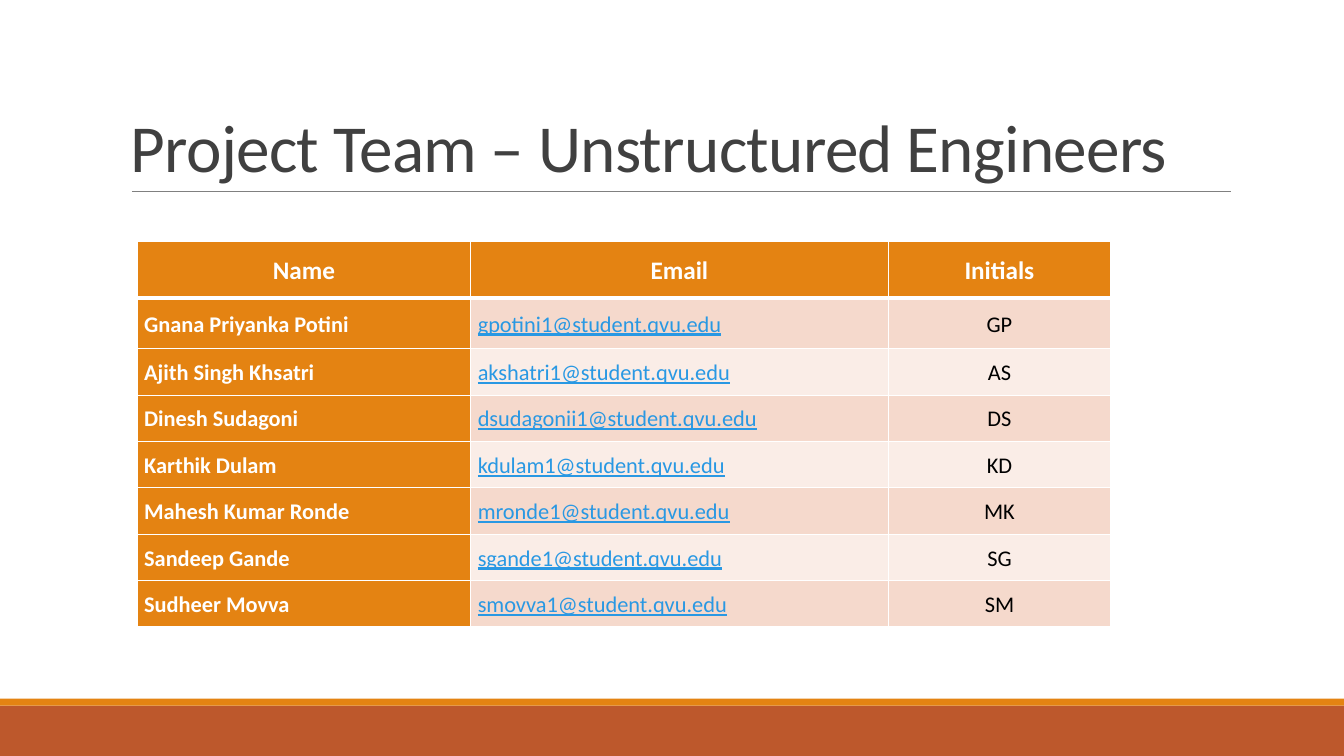
from lxml.etree import SubElement
from pptx import Presentation
from pptx.dml.color import RGBColor
from pptx.enum.shapes import MSO_CONNECTOR, MSO_SHAPE
from pptx.enum.text import MSO_ANCHOR, PP_ALIGN
from pptx.oxml.ns import qn
from pptx.util import Pt

FONT = "Calibri"
ORANGE, RUST, WHITE, BLACK = "E48312", "BD582C", "FFFFFF", "000000"
TITLE_GREY, RULE_GREY, LINK_BLUE = "404040", "808080", "2998E3"
BANDS = ("F5D9CC", "FAEDE7")

HEADINGS = ("Name", "Email", "Initials")
MEMBERS = (
    ("Gnana Priyanka Potini", "gpotini1", "GP"),
    ("Ajith Singh Khsatri", "akshatri1", "AS"),
    ("Dinesh Sudagoni", "dsudagonii1", "DS"),
    ("Karthik Dulam", "kdulam1", "KD"),
    ("Mahesh Kumar Ronde", "mronde1", "MK"),
    ("Sandeep Gande", "sgande1", "SG"),
    ("Sudheer Movva", "smovva1", "SM"),
)
MAIL_DOMAIN = "@student.qvu.edu"
COLUMN_WIDTHS = (238.3, 298.1, 159.1)
ROW_HEIGHTS = (41, 36) + (33.15,) * (len(MEMBERS) - 1)


def color(hex_string):
    return RGBColor.from_string(hex_string)


class SlideBuilder:
    def __init__(self, slide):
        self.shapes = slide.shapes

    def style(self, paragraph, size, ink, bold=False, underline=False):
        font = paragraph.font
        font.name, font.size = FONT, Pt(size)
        font.bold, font.underline = bold, underline
        font.color.rgb = color(ink)

    def bar(self, left, top, width, height, fill):
        bar = self.shapes.add_shape(
            MSO_SHAPE.RECTANGLE, Pt(left), Pt(top), Pt(width), Pt(height))
        bar.shadow.inherit = False
        bar.fill.solid()
        bar.fill.fore_color.rgb = color(fill)
        bar.line.fill.background()

    def rule(self, left, right, y, ink, weight):
        rule = self.shapes.add_connector(
            MSO_CONNECTOR.STRAIGHT, Pt(left), Pt(y), Pt(right), Pt(y))
        rule.line.color.rgb = color(ink)
        rule.line.width = Pt(weight)
        SubElement(rule._element.spPr, qn("a:effectLst"))

    def title(self, left, top, width, height, text):
        frame = self.shapes.add_textbox(
            Pt(left), Pt(top), Pt(width), Pt(height)).text_frame
        frame.word_wrap = True
        frame.vertical_anchor = MSO_ANCHOR.BOTTOM
        paragraph = frame.paragraphs[0]
        paragraph.line_spacing = 0.85
        run = paragraph.add_run()
        run.text = text
        self.style(paragraph, 48, TITLE_GREY)
        run.font._element.set("spc", "-50")

    def table(self, left, top, widths, heights):
        table = self.shapes.add_table(
            len(heights), len(widths), Pt(left), Pt(top),
            Pt(sum(widths)), Pt(sum(heights))).table
        table.first_row = table.horz_banding = False
        for column, width in zip(table.columns, widths):
            column.width = Pt(width)
        for row, height in zip(table.rows, heights):
            row.height = Pt(height)
        return table

    def cell(self, cell, text, fill, size, ink, centered=False,
             bold=False, underline=False, top=1, bottom=1):
        """Fill in one table cell; top and bottom are border weights."""
        cell.margin_left = cell.margin_right = Pt(5)
        cell.margin_top = cell.margin_bottom = Pt(0)
        cell.vertical_anchor = MSO_ANCHOR.MIDDLE
        cell.text = text
        paragraph = cell.text_frame.paragraphs[0]
        paragraph.line_spacing = 1.07
        paragraph.alignment = PP_ALIGN.CENTER if centered else PP_ALIGN.LEFT
        self.style(paragraph, size, ink, bold, underline)
        properties = cell._tc.get_or_add_tcPr()
        for side, weight in (("L", 1), ("R", 1), ("T", top), ("B", bottom)):
            border = SubElement(properties, qn(f"a:ln{side}"), w=str(Pt(weight)))
            border_fill = SubElement(border, qn("a:solidFill"))
            SubElement(border_fill, qn("a:srgbClr"), val=WHITE)
        cell.fill.solid()
        cell.fill.fore_color.rgb = color(fill)


def main():
    presentation = Presentation()
    presentation.slide_width, presentation.slide_height = Pt(960), Pt(540)
    builder = SlideBuilder(
        presentation.slides.add_slide(presentation.slide_layouts[6]))

    builder.bar(0, 504, 960, 36, RUST)
    builder.bar(0, 499, 960, 5, ORANGE)
    builder.rule(94.3, 879, 136.8, RULE_GREY, 0.5)
    builder.title(86.4, 22.3, 792, 114.5, "Project Team – Unstructured Engineers")

    team = builder.table(98, 172.1, COLUMN_WIDTHS, ROW_HEIGHTS)
    for column, heading in enumerate(HEADINGS):
        builder.cell(team.cell(0, column), heading, ORANGE, 18, WHITE,
                     centered=True, bold=True, bottom=3)
    for row, (name, mailbox, initials) in enumerate(MEMBERS, start=1):
        band = BANDS[(row - 1) % 2]
        top = 3 if row == 1 else 1
        builder.cell(team.cell(row, 0), name, ORANGE, 16, WHITE,
                     bold=True, top=top)
        builder.cell(team.cell(row, 1), mailbox + MAIL_DOMAIN, band, 16,
                     LINK_BLUE, underline=True, top=top)
        builder.cell(team.cell(row, 2), initials, band, 16, BLACK,
                     centered=True, top=top)

    presentation.save("out.pptx")


if __name__ == "__main__":
    main()
